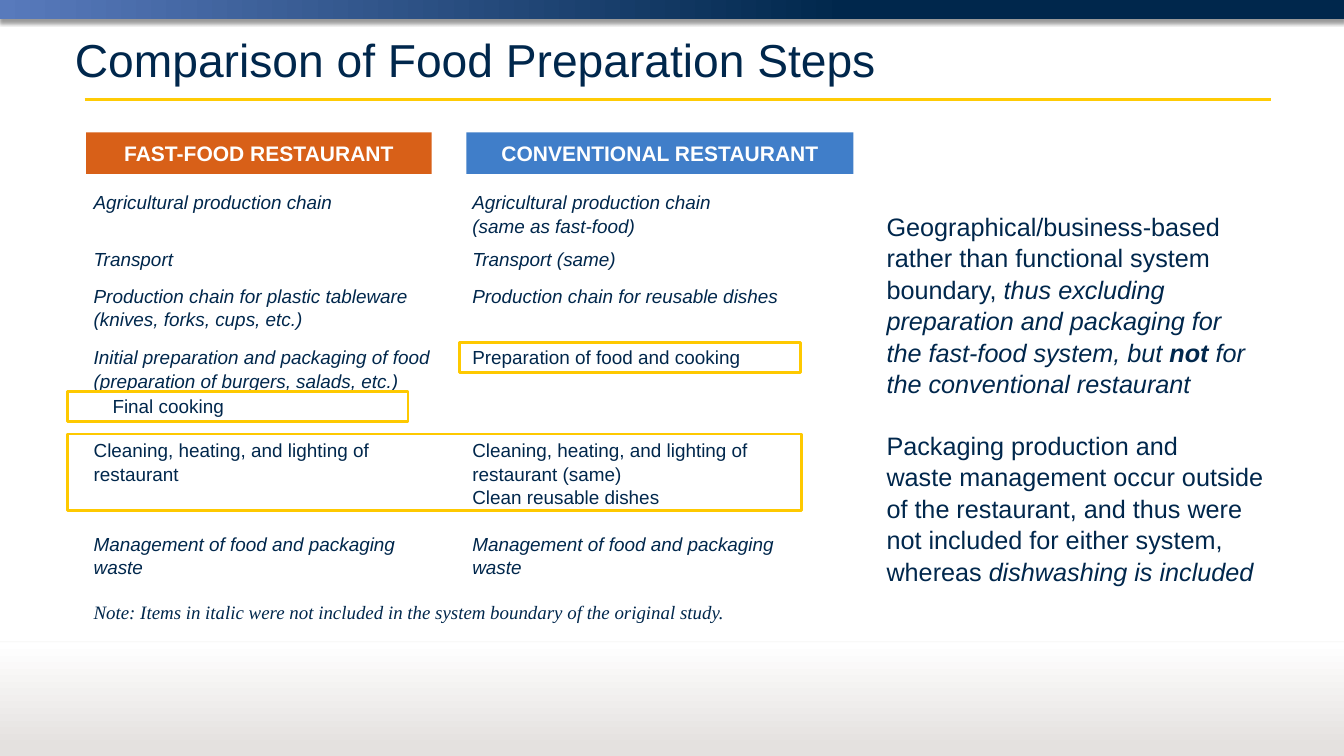
from lxml import etree
from pptx import Presentation
from pptx.dml.color import RGBColor
from pptx.enum import shapes, text
from pptx.oxml.ns import qn
from pptx.util import Inches, Pt

NAVY, GOLD, FRAME, STONE, WHITE = "00274C", "FFCB05", "FEC900", "E4E1DF", "FFFFFF"
LEFT, RIGHT = 1.14, 6.15
ROWS = [
    (2.46, "Agricultural production chain", "Agricultural production chain\n(same as fast-food)", True),
    (3.21, "Transport", "Transport (same)", True),
    (3.7, "Production chain for plastic tableware (knives, forks, cups, etc.)",
     "Production chain for reusable dishes", True),
    (5.74, "Cleaning, heating, and lighting of restaurant",
     "Cleaning, heating, and lighting of\nrestaurant (same)\nClean reusable dishes", False),
    (6.98, "Management of food and packaging waste", "Management of food and packaging\nwaste", True),
]
COMMENTS = [
    [("Geographical/business-based rather than functional system boundary, ", False, False),
     ("thus excluding preparation and packaging for\nthe fast-food system, but ", True, False),
     ("not", True, True), (" for the conventional restaurant", True, False)],
    [("Packaging production and\nwaste management occur outside of the restaurant, "
      "and thus were not included for either system,\nwhereas ", False, False),
     ("dishwashing is included", True, False)],
]


def colour(value):
    """Turn a hex string into a colour."""
    return RGBColor.from_string(value)


def add_run(paragraph, words, size, value=NAVY, italic=False, bold=False, face="Arial"):
    """Add formatted text, with a line break at each newline."""
    for index, line in enumerate(words.split("\n")):
        if index:
            paragraph.add_line_break()
        run = paragraph.add_run()
        run.text = line
        run.font.size, run.font.name = Pt(size), face
        run.font.italic, run.font.bold = italic, bold
        run.font.color.rgb = colour(value)


def add_text(slide, box, paragraphs, size, gap=0, face="Arial"):
    """Add a wrapping text box from lists of (words, italic, bold)."""
    frame = slide.shapes.add_textbox(*map(Inches, box)).text_frame
    frame.word_wrap = True
    for index, runs in enumerate(paragraphs):
        paragraph = frame.add_paragraph() if index else frame.paragraphs[0]
        paragraph.line_spacing = 1.04
        if index:
            paragraph.space_before = Pt(gap)
        for words, italic, bold in runs:
            add_run(paragraph, words, size, italic=italic, bold=bold, face=face)


def add_rectangle(slide, box):
    """Add a plain rectangle without line or shadow."""
    shape = slide.shapes.add_shape(shapes.MSO_SHAPE.RECTANGLE, *map(Inches, box))
    shape.shadow.inherit = False
    shape.line.fill.background()
    return shape


def add_gradient(slide, box, angle, stops):
    """Add a rectangle with a two-stop gradient."""
    shape = add_rectangle(slide, box)
    shape.fill.gradient()
    shape.fill.gradient_angle = angle
    for stop, (position, value) in zip(shape.fill.gradient_stops, stops):
        stop.position, stop.color.rgb = position, colour(value)
    return shape


def add_alpha(parent, value, percent):
    """Add a partly transparent colour or fade the present one."""
    node = parent.find(qn("a:srgbClr"))
    if node is None:
        node = etree.SubElement(parent, qn("a:srgbClr"), val=value)
    etree.SubElement(node, qn("a:alpha"), val=str(percent * 1000))


def set_shadow(shape, blur=0, distance=0, percent=0):
    """Replace the theme shadow by a downward one, or by none."""
    properties = shape._element.spPr
    effects = properties.find(qn("a:effectLst"))
    if effects is None:
        effects = etree.SubElement(properties, qn("a:effectLst"))
    if percent:
        shadow = etree.SubElement(effects, qn("a:outerShdw"), blurRad=str(Pt(blur)),
                                  dist=str(Pt(distance)), dir="5400000", rotWithShape="0")
        add_alpha(shadow, "000000", percent)


def add_rule(slide, left, right, top, value, width):
    """Add a horizontal line."""
    rule = slide.shapes.add_connector(shapes.MSO_CONNECTOR.STRAIGHT, *map(Inches, (left, top, right, top)))
    rule.line.color.rgb, rule.line.width = colour(value), Pt(width)
    return rule


def add_bands(slide, width, height):
    """Draw the top band, the title rule and the footer band."""
    band = add_gradient(slide, (0, 0, width, 0.25), 0, [(0, "587ABC"), (0.63, NAVY)])
    set_shadow(band, 4, 3, 40)
    set_shadow(add_rule(slide, 1.12, 16.81, 1.32, GOLD, 3))
    add_gradient(slide, (0, height - 1.5, width, 1.5), 90, [(0.08, STONE), (1, WHITE)])
    edge = add_rule(slide, 0, width, height - 1.51, STONE, 0.75)
    add_alpha(edge._element.spPr.find(".//" + qn("a:solidFill")), STONE, 30)
    set_shadow(edge, 3.1, 1.6, 38)


def add_title(slide, box, words):
    """Place and format the title placeholder."""
    title = slide.shapes.title
    title.left, title.top, title.width, title.height = map(Inches, box)
    title.text_frame.vertical_anchor = text.MSO_ANCHOR.MIDDLE
    paragraph = title.text_frame.paragraphs[0]
    paragraph.alignment = text.PP_ALIGN.LEFT
    add_run(paragraph, words, 44)


def add_header(slide, box, words, fill):
    """Add a filled column header."""
    shape = add_rectangle(slide, box)
    shape.fill.solid()
    shape.fill.fore_color.rgb = colour(fill)
    shape.text_frame.vertical_anchor = text.MSO_ANCHOR.MIDDLE
    paragraph = shape.text_frame.paragraphs[0]
    paragraph.alignment = text.PP_ALIGN.CENTER
    add_run(paragraph, words, 20, WHITE, bold=True)


def add_step(slide, left, top, words, italic):
    """Add one preparation step, as tall as its lines."""
    width = 4.69 if left < RIGHT else 5.15
    lines = max(words.count("\n") + 1, 2 if len(words) > 36 else 1)
    add_text(slide, (left, top, width, 0.1 + 0.3 * lines), [[(words, italic, False)]], 18)


def add_comparison(slide):
    """Build both columns of steps with their headers and frames."""
    add_header(slide, (LEFT, 1.75, 4.57, 0.55), "FAST-FOOD RESTAURANT", "D86018")
    add_header(slide, (6.17, 1.75, 5.12, 0.55), "CONVENTIONAL RESTAURANT", "407EC9")
    for top, fast, conventional, italic in ROWS:
        add_step(slide, LEFT, top, fast, italic)
        add_step(slide, RIGHT, top, conventional, italic)
    add_step(slide, LEFT, 4.51,
             "Initial preparation and packaging of food (preparation of burgers, salads, etc.)", True)
    add_step(slide, RIGHT, 4.51, "Preparation of food and cooking", False)
    add_step(slide, LEFT + 0.25, 5.16, "Final cooking", False)
    for box in [(0.89, 5.74, 9.71, 1.01), (6.08, 4.53, 4.51, 0.4), (0.89, 5.18, 4.51, 0.4)]:
        frame = add_rectangle(slide, box)
        frame.fill.background()
        frame.line.color.rgb, frame.line.width = colour(FRAME), Pt(2.5)


def main():
    """Build and save the slide."""
    presentation = Presentation()
    presentation.slide_width, presentation.slide_height = Inches(17.78), Inches(10)
    slide = presentation.slides.add_slide(presentation.slide_layouts[5])
    add_bands(slide, 17.78, 10)
    add_title(slide, (0.89, 0.31, 16, 0.95), "Comparison of Food Preparation Steps")
    add_comparison(slide)
    add_text(slide, (11.63, 2.73, 5.26, 5.35), COMMENTS, 24, gap=28.8)
    note = "Note: Items in italic were not included in the system boundary of the original study."
    add_text(slide, (LEFT, 7.88, 8.76, 0.4), [[(note, True, False)]], 18, face="Times New Roman")
    presentation.save("out.pptx")


if __name__ == "__main__":
    main()
